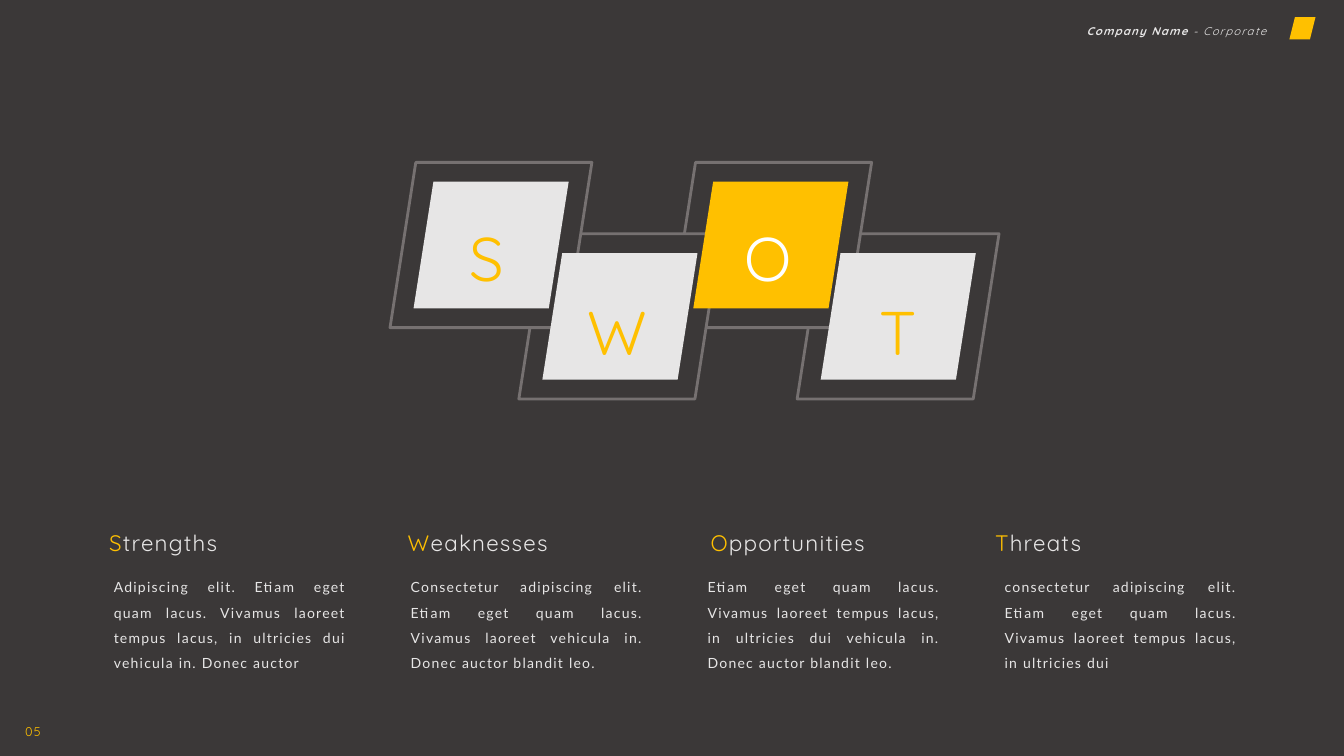
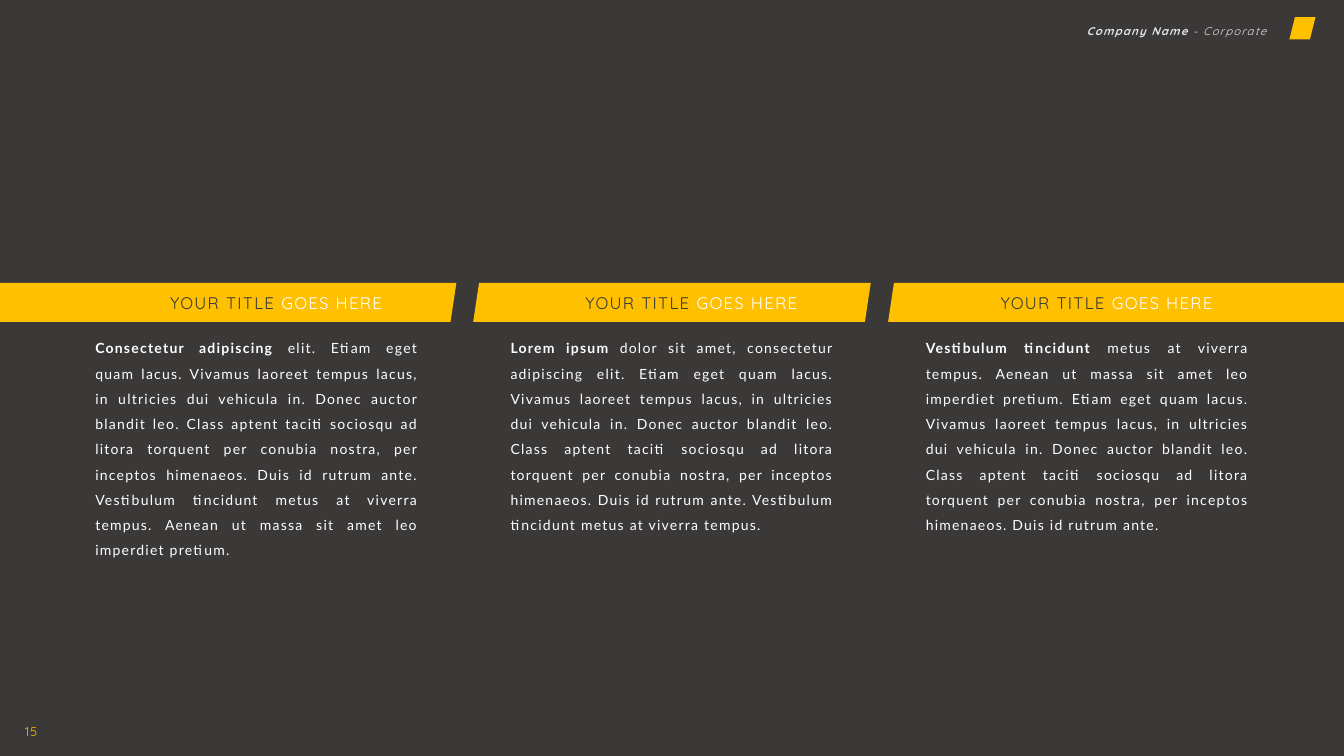
import pptx
import pptx.dml.color
import pptx.enum.text
import pptx.util

Pt = pptx.util.Pt
RGBColor = pptx.dml.color.RGBColor
ALIGN = pptx.enum.text.PP_ALIGN
ANCHOR = pptx.enum.text.MSO_ANCHOR
AUTO_SIZE = pptx.enum.text.MSO_AUTO_SIZE

CHARCOAL = RGBColor(0x3B, 0x38, 0x38)
GRAY = RGBColor(0x76, 0x71, 0x71)
LIGHT = RGBColor(0xE7, 0xE6, 0xE6)
WHITE = RGBColor(0xFF, 0xFF, 0xFF)
GOLD = RGBColor(0xFF, 0xC0, 0x00)

HEAD_FONT = "Quicksand"
BODY_FONT = "Lato"


class Deck:
    """Holds the shared style and the slide being drawn."""

    def __init__(self):
        self.prs = pptx.Presentation()
        self.prs.slide_width = Pt(960)
        self.prs.slide_height = Pt(540)
        fill = self.prs.slide_master.background.fill
        fill.solid()
        fill.fore_color.rgb = CHARCOAL
        self.s = None

    def new_slide(self, number):
        self.s = self.prs.slides.add_slide(self.prs.slide_layouts[6])
        self.slanted(921, 12.2, 18.7, 16, 4, 4, GOLD)
        self.text(766, 9.4, 145.5, 20,
                  [("Company Name ", LIGHT, True), ("- Corporate", LIGHT)],
                  8, align=ALIGN.RIGHT, italic=True)
        self.text(10.8, 508.3, 38, 21.6, [(number, GOLD)], 9)

    def slanted(self, x, y, w, h, lean_left, lean_right, color, outline=None):
        """Draw a four-sided shape whose sides lean to the right by the given amounts."""
        corners = [(x + w, y), (x + w - lean_right, y + h), (x, y + h)]
        builder = self.s.shapes.build_freeform(Pt(x + lean_left), Pt(y))
        builder.add_line_segments([(Pt(cx), Pt(cy)) for cx, cy in corners])
        sp = builder.convert_to_shape()
        sp.shadow.inherit = False
        sp.fill.solid()
        sp.fill.fore_color.rgb = color
        if outline is None:
            sp.line.fill.background()
        else:
            sp.line.color.rgb = outline
            sp.line.width = Pt(2)

    def text(self, x, y, w, h, runs, size, font=HEAD_FONT, align=ALIGN.LEFT,
             anchor=ANCHOR.TOP, wrap=True, italic=False):
        """Add one paragraph; each run is (text, colour) or (text, colour, bold)."""
        tf = self.s.shapes.add_textbox(Pt(x), Pt(y), Pt(w), Pt(h)).text_frame
        tf.word_wrap = wrap
        tf.auto_size = AUTO_SIZE.SHAPE_TO_FIT_TEXT
        tf.vertical_anchor = anchor
        p = tf.paragraphs[0]
        p.alignment = align
        p.line_spacing = 1.5
        p.font.name = font
        p.font.size = Pt(size)
        p.font.italic = italic
        for content, color, *bold in runs:
            r = p.add_run()
            r.text = content
            r.font.color.rgb = color
            r.font.bold = bool(bold)
            r._r.get_or_add_rPr().set("spc", "90")

    def centered(self, center, y, w, h, runs, size):
        self.text(center - w / 2, y, w, h, runs, size,
                  align=ALIGN.CENTER, wrap=False)

    def body(self, x, y, w, h, runs):
        self.text(x, y, w, h, runs, 10, BODY_FONT, ALIGN.JUSTIFY)


# letter, tile left, tile top, letter centre, letter top, tile colour, letter colour
SWOT_TILES = [
    ("S", 278.6, 116, 347.8, 127.4, LIGHT, GOLD),
    ("W", 370.6, 167, 440.6, 180, LIGHT, GOLD),
    ("O", 478.4, 116, 548.3, 127.4, GOLD, WHITE),
    ("T", 569.4, 167, 641.5, 180, LIGHT, GOLD),
]

# heading, heading centre, body
SWOT_COLUMNS = [
    ("Strengths", 116.6,
     "Adipiscing elit. Etiam eget quam lacus. Vivamus laoreet tempus lacus, "
     "in ultricies dui vehicula in. Donec auctor"),
    ("Weaknesses", 341.3,
     "Consectetur adipiscing elit. Etiam eget quam lacus. Vivamus laoreet "
     "vehicula in. Donec auctor blandit leo."),
    ("Opportunities", 562.7,
     "Etiam eget quam lacus. Vivamus laoreet tempus lacus, in ultricies dui "
     "vehicula in. Donec auctor blandit leo."),
    ("Threats", 741.6,
     "consectetur adipiscing elit. Etiam eget quam lacus. Vivamus laoreet "
     "tempus lacus, in ultricies dui"),
]

LOREM = ("Etiam eget quam lacus. Vivamus laoreet tempus lacus, in ultricies dui "
         "vehicula in. Donec auctor blandit leo. Class aptent taciti sociosqu ad "
         "litora torquent per conubia nostra, per inceptos himenaeos. "
         "Duis id rutrum ante.")
METUS = "metus at viverra tempus."
AENEAN = "Aenean ut massa sit amet leo imperdiet pretium."

# bar left, bar width, left lean, right lean, bold opening, body
TITLE_COLUMNS = [
    (0, 326, 0, 4.2, "Consectetur adipiscing ",
     f"elit. {LOREM} Vestibulum tincidunt {METUS} {AENEAN}"),
    (338, 284, 4.2, 4.2, "Lorem ipsum ",
     f"dolor sit amet, consectetur adipiscing elit. {LOREM} "
     f"Vestibulum tincidunt {METUS}"),
    (634.4, 325.6, 4.2, 0, "Vestibulum tincidunt ",
     f"{METUS} {AENEAN} {LOREM}"),
]


def swot_slide(deck):
    deck.new_slide("05")
    for _, x, y, *_ in reversed(SWOT_TILES):
        deck.slanted(x, y, 144.2, 118, 18.4, 18.4, CHARCOAL, GRAY)
    for _, x, y, _, _, color, _ in SWOT_TILES:
        deck.slanted(x + 16.8, y + 13.8, 110.8, 90.4, 14.2, 14.2, color)
    for letter, _, _, center, top, _, color in SWOT_TILES:
        deck.centered(center, top, 60, 78.5, [(letter, color)], 44)
    for i, (heading, center, body) in enumerate(SWOT_COLUMNS):
        deck.centered(center, 365, 150, 33,
                      [(heading[0], GOLD), (heading[1:], LIGHT)], 16)
        deck.body(74.2 + 212.1 * i, 404, 180, 78, [(body, LIGHT)])


def titles_slide(deck):
    deck.new_slide("15")
    for i, (x, w, lean_left, lean_right, opening, body) in enumerate(TITLE_COLUMNS):
        left = 61 + 296.6 * i
        deck.slanted(x, 202, w, 28, lean_left, lean_right, GOLD)
        deck.text(left + 26, 199.4, 193, 26.6,
                  [("YOUR TITLE ", CHARCOAL), ("GOES HERE", WHITE)],
                  12, align=ALIGN.RIGHT, anchor=ANCHOR.MIDDLE, wrap=False)
        deck.body(left, 233.3, 244.8, 150, [(opening, WHITE, True), (body, WHITE)])


def main():
    deck = Deck()
    swot_slide(deck)
    titles_slide(deck)
    deck.prs.save("out.pptx")


if __name__ == "__main__":
    main()
